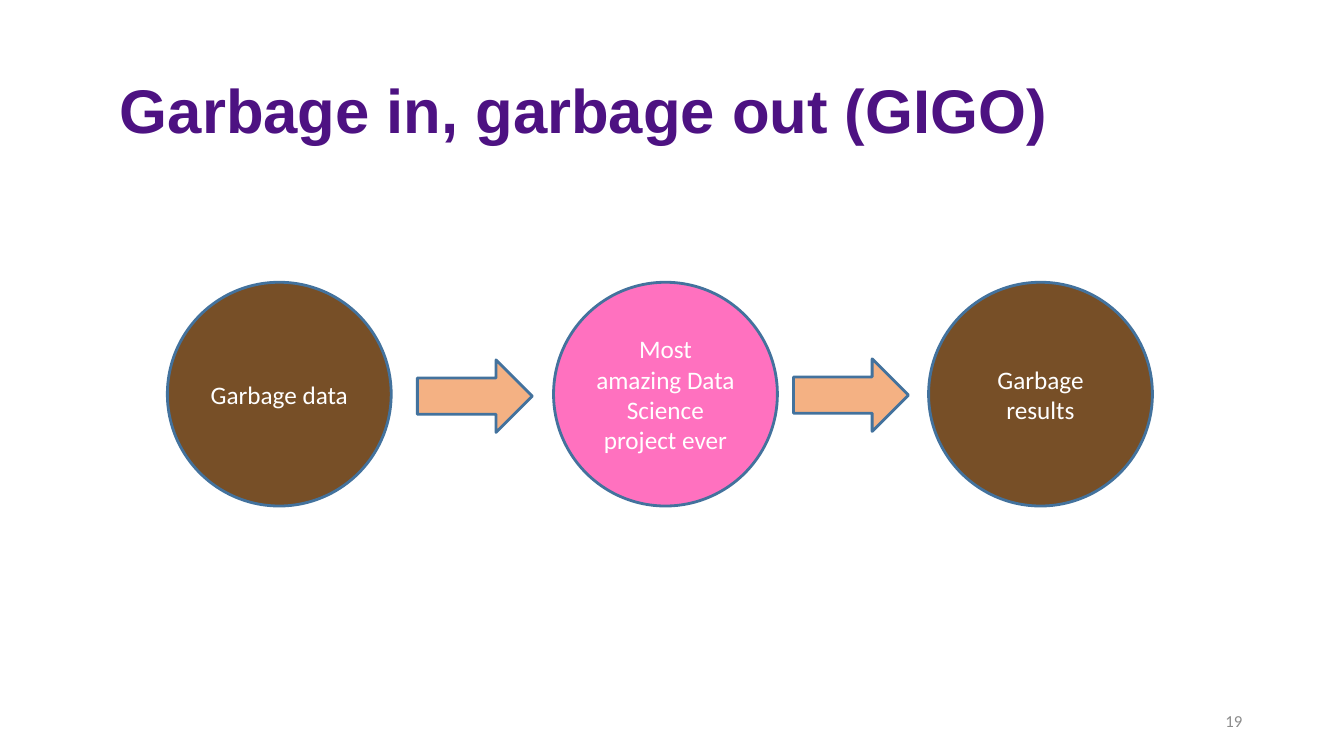
"""Build the garbage in, garbage out slide."""
from pptx import Presentation
from pptx import util as u
from pptx.dml.color import RGBColor
from pptx.enum import shapes, text

PX = 9144
PURPLE = RGBColor(0x4D, 0x12, 0x82)
BROWN = RGBColor(0x77, 0x4F, 0x27)
PINK = RGBColor(0xFF, 0x71, 0xBF)
PEACH = RGBColor(0xF4, 0xB1, 0x83)
BLUE = RGBColor(0x43, 0x72, 0x9D)
WHITE = RGBColor(0xFF, 0xFF, 0xFF)
GREY = RGBColor(0x8B, 0x8B, 0x8B)

HEAD = {"name": "Arial", "size": u.Pt(44), "bold": True}
LABEL = {"name": "Calibri", "size": u.Pt(18)}
SMALL = {"name": "Calibri", "size": u.Pt(12)}


def px(*nums):
    """Turn px lengths into EMU."""
    return [u.Emu(num * PX) for num in nums]


def write(shape, words, style, color, align):
    """Put formatted words in a shape, centred from top to bottom."""
    frame = shape.text_frame
    frame.word_wrap = True
    frame.auto_size = text.MSO_AUTO_SIZE.NONE
    frame.vertical_anchor = text.MSO_ANCHOR.MIDDLE
    para = frame.paragraphs[0]
    para.alignment = align
    run = para.add_run()
    run.text = words
    for key, value in style.items():
        setattr(run.font, key, value)
    run.font.color.rgb = color
    return para


def add_title(slide, words):
    """Place and format the slide title."""
    title = slide.shapes.title
    title.left, title.top, title.width, title.height = px(92, 40, 1150, 145)
    para = write(title, words, HEAD, PURPLE, text.PP_ALIGN.LEFT)
    para.line_spacing = 0.9
    title.text_frame.margin_left = px(27)[0]


def add_form(slide, kind, box, fill):
    """Draw a filled preset shape with a blue outline."""
    form = slide.shapes.add_shape(kind, *px(*box))
    form.shadow.inherit = False
    form.fill.solid()
    form.fill.fore_color.rgb = fill
    form.line.color.rgb = BLUE
    form.line.width = u.Pt(2)
    return form


def add_stage(slide, left, words, fill):
    """Draw one labelled circle of the flow."""
    disc = add_form(slide, shapes.MSO_SHAPE.OVAL, (left, 280, 222, 222), fill)
    write(disc, words, LABEL, WHITE, text.PP_ALIGN.CENTER)


def add_number(slide, words):
    """Write the page number at the lower right."""
    box = slide.shapes.add_textbox(*px(942, 695, 300, 40))
    write(box, words, SMALL, GREY, text.PP_ALIGN.RIGHT)


def main():
    """Build and save the slide."""
    deck = Presentation()
    deck.slide_width, deck.slide_height = px(1333, 750)
    slide = deck.slides.add_slide(deck.slide_layouts[5])
    add_title(slide, "Garbage in, garbage out (GIGO)")
    for left, words, fill in (
        (166, "Garbage data", BROWN),
        (549, "Most amazing Data Science project ever", PINK),
        (921, "Garbage results", BROWN),
    ):
        add_stage(slide, left, words, fill)
    for left, top in ((414, 357), (787, 356)):
        add_form(slide, shapes.MSO_SHAPE.RIGHT_ARROW, (left, top, 114, 72), PEACH)
    add_number(slide, "19")
    deck.save("out.pptx")


if __name__ == "__main__":
    main()
